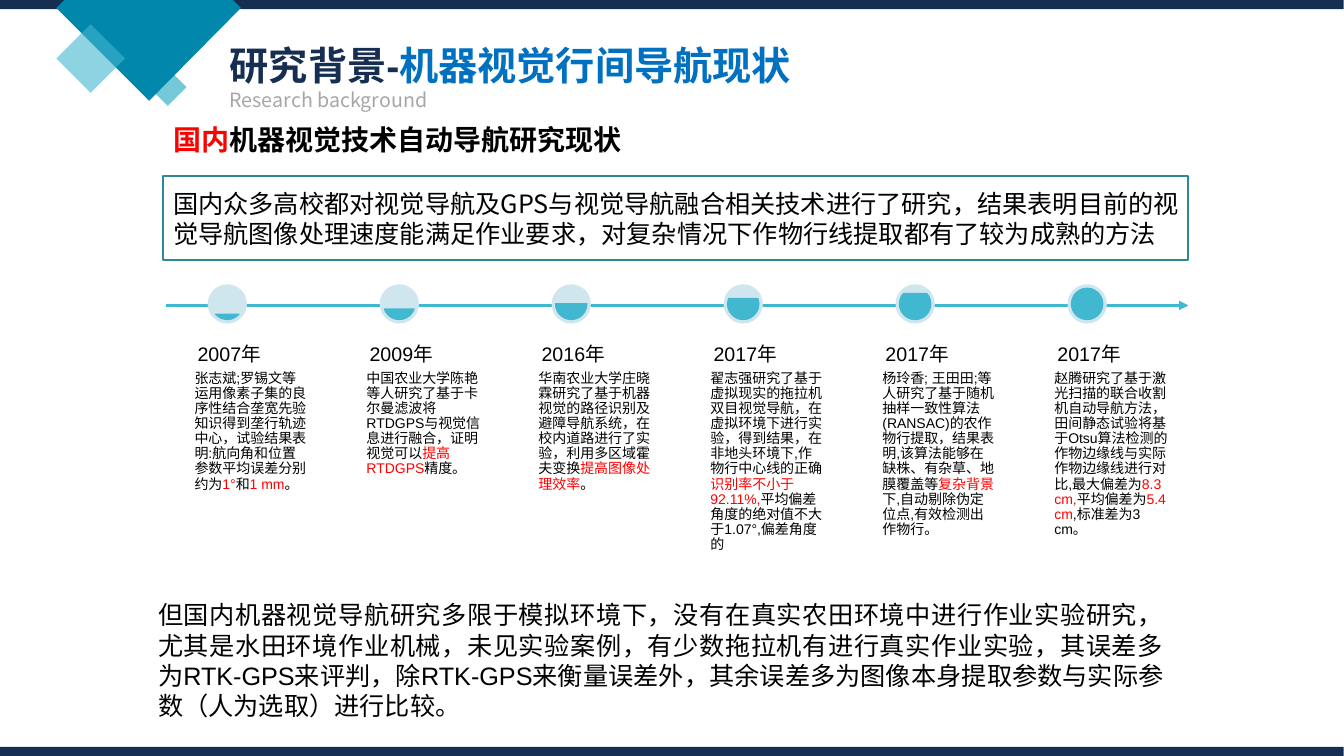
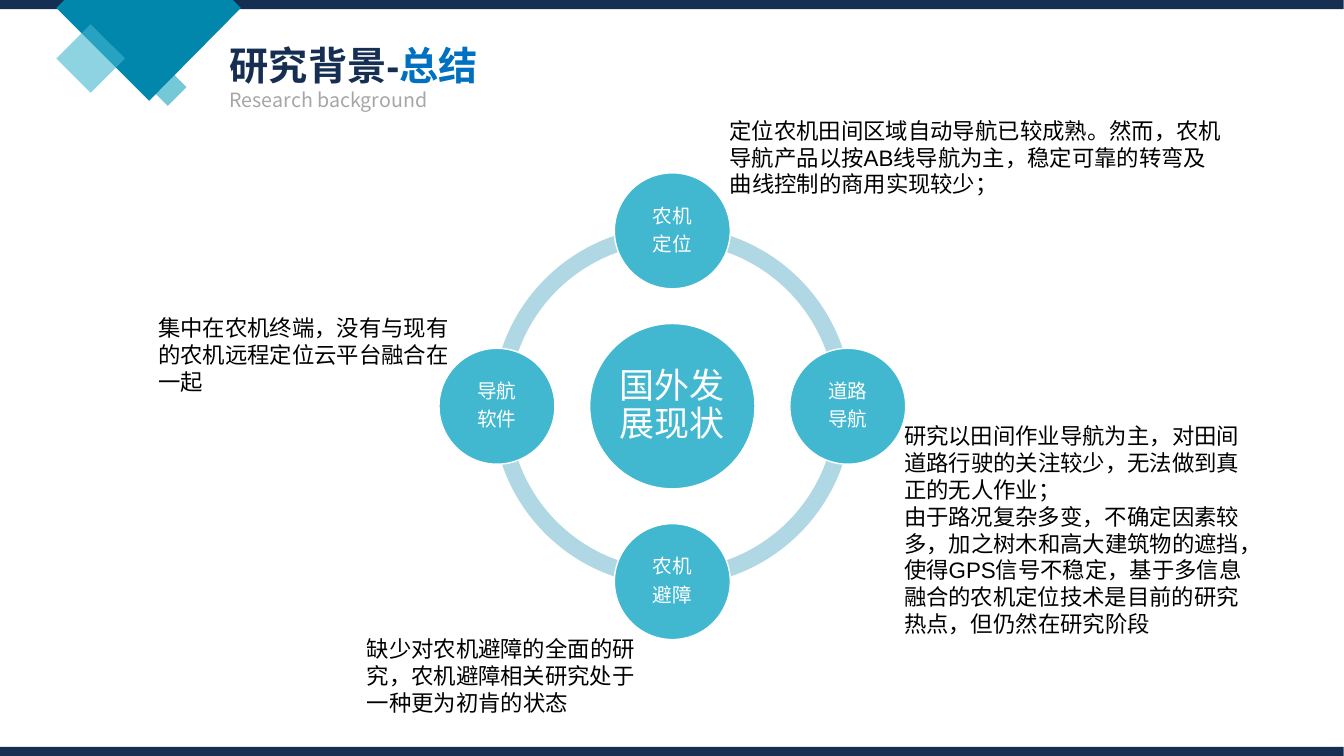
import math
from dataclasses import dataclass

import pptx
import pptx.util
from lxml import etree
from pptx.dml.color import RGBColor
from pptx.enum.shapes import MSO_CONNECTOR, MSO_SHAPE
from pptx.enum.text import MSO_ANCHOR, MSO_AUTO_SIZE, PP_ALIGN
from pptx.oxml.ns import qn
from pptx.util import Inches


@dataclass(frozen=True)
class Theme:
    latin: str = "Arial"
    asian: str = "Noto Sans CJK SC"
    navy: str = "152E52"
    blue: str = "0070C0"
    ocean: str = "0187AC"
    teal: str = "41B7D0"
    deep_teal: str = "1AA4BE"
    frame: str = "30879A"
    pale: str = "CFE6EE"
    ring: str = "B0D8E4"
    gray: str = "A6A6A6"
    black: str = "000000"
    red: str = "FF0000"
    white: str = "FFFFFF"
    title: int = 28
    hub: int = 25
    heading: int = 20
    body: int = 18
    note: int = 16
    label: int = 14
    small: int = 10


THEME = Theme()
LEFT, CENTER, JUSTIFY = PP_ALIGN.LEFT, PP_ALIGN.CENTER, PP_ALIGN.JUSTIFY
TOP, MIDDLE, BOTTOM = MSO_ANCHOR.TOP, MSO_ANCHOR.MIDDLE, MSO_ANCHOR.BOTTOM
INSETS = (0.1, 0.05, 0.1, 0.05)

MILESTONES = [
    ("2007年", "张志斌;罗锡文等运用像素子集的良序性结合垄宽先验知识得到垄行轨迹中心，"
     "试验结果表明:航向角和位置参数平均误差分别约为|1°|和|1 mm|。"),
    ("2009年", "中国农业大学陈艳等人研究了基于卡尔曼滤波将RTDGPS与视觉信息进行融合，"
     "证明视觉可以|提高RTDGPS|精度。"),
    ("2016年", "华南农业大学庄晓霖研究了基于机器视觉的路径识别及避障导航系统，"
     "在校内道路进行了实验，利用多区域霍夫变换|提高图像处理效率|。"),
    ("2017年", "翟志强研究了基于虚拟现实的拖拉机双目视觉导航，在虚拟环境下进行实验，"
     "得到结果，在非地头环境下,作物行中心线的正确|识别率不小于92.11%,|"
     "平均偏差角度的绝对值不大于1.07°,偏差角度的"),
    ("2017年", "杨玲香; 王田田;等人研究了基于随机抽样一致性算法(RANSAC)的农作物行提取，"
     "结果表明,该算法能够在缺株、有杂草、地膜覆盖等|复杂背景|"
     "下,自动剔除伪定位点,有效检测出作物行。"),
    ("2017年", "赵腾研究了基于激光扫描的联合收割机自动导航方法，"
     "田间静态试验将基于Otsu算法检测的作物边缘线与实际作物边缘线进行对比,最大偏差为|8.3 cm,|"
     "平均偏差为|5.4 cm|,标准差为3 cm。"),
]

# Clockwise from the top of the ring
TOPICS = ["农机\n定位", "道路\n导航", "农机\n避障", "导航\n软件"]

NOTES = [
    (7.14, 1.11, 5.09, 0.91,
     "定位农机田间区域自动导航已较成熟。然而，农机导航产品以按AB线导航为主，"
     "稳定可靠的转弯及曲线控制的商用实现较少；"),
    (8.87, 4.14, 3.6, 2.26,
     "研究以田间作业导航为主，对田间道路行驶的关注较少，无法做到真正的无人作业；\n"
     "由于路况复杂多变，不确定因素较多，加之树木和高大建筑物的遮挡，使得GPS信号不稳定，"
     "基于多信息融合的农机定位技术是目前的研究热点，但仍然在研究阶段"),
    (3.54, 6.25, 3.02, 0.91,
     "缺少对农机避障的全面的研究，农机避障相关研究处于一种更为初肯的状态"),
    (1.47, 3.07, 3.24, 0.91,
     "集中在农机终端，没有与现有的农机远程定位云平台融合在一起"),
]


class SlideBuilder:
    def __init__(self, theme):
        self.theme = theme
        self.deck = pptx.Presentation()
        self.deck.slide_width = Inches(13.333)
        self.deck.slide_height = Inches(7.5)
        self.layout = self.deck.slide_layouts[5]
        self.page = None

    def new_page(self, topic):
        first = self.page is None
        self.page = self.deck.slides.add_slide(self.layout)
        if first:
            self.decorate_layout()
        title = self.page.shapes.title
        title.left, title.top = Inches(2.18), Inches(0.29)
        title.width, title.height = Inches(7.88), Inches(0.6)
        self.set_text(title, f"研究背景-|{topic}", self.theme.title, color=self.theme.navy,
                      accent=self.theme.blue, bold=True, spacing=1.14)
        self.text(2.18, 0.79, 8.81, 0.35, "Research background", self.theme.label,
                  color=self.theme.gray, font=self.theme.asian, spacing=1.14)

    def decorate_layout(self):
        """Draw the shared bands and diamonds, then move them to the layout."""
        theme = self.theme
        corner = [(0.64, 0), (2.31, 0), (2.39, 0.08), (1.48, 1), (0.56, 0.08)]
        decorations = [
            self.shape(MSO_SHAPE.DIAMOND, 1.48, 0.68, 0.37, 0.37, theme.deep_teal, alpha=60),
            self.shape(MSO_SHAPE.RECTANGLE, 0, 0, 13.33, 0.09, theme.navy),
            self.outline(corner, theme.ocean),
            self.shape(MSO_SHAPE.DIAMOND, 0.56, 0.24, 0.68, 0.68, theme.teal, alpha=60),
            self.shape(MSO_SHAPE.RECTANGLE, 0, 7.41, 13.33, 0.09, theme.navy),
        ]
        for decoration in decorations:
            self.layout.shapes.element.append(decoration.element)

    def paint(self, shape, fill=None, line=None, weight=1.0, alpha=None):
        shape.shadow.inherit = False
        if fill:
            shape.fill.solid()
            shape.fill.fore_color.rgb = RGBColor.from_string(fill)
        else:
            shape.fill.background()
        if alpha:
            color = shape.element.spPr.find(qn("a:solidFill"))[0]
            etree.SubElement(color, qn("a:alpha")).set("val", str(alpha * 1000))
        if line:
            shape.line.color.rgb = RGBColor.from_string(line)
            shape.line.width = pptx.util.Pt(weight)
        else:
            shape.line.fill.background()
        return shape

    def shape(self, kind, left, top, width, height, fill=None, adjust=(), **style):
        shape = self.page.shapes.add_shape(
            kind, Inches(left), Inches(top), Inches(width), Inches(height))
        for index, value in enumerate(adjust):
            shape.adjustments[index] = value
        return self.paint(shape, fill, **style)

    def outline(self, points, fill):
        start, *others = [(Inches(x), Inches(y)) for x, y in points]
        builder = self.page.shapes.build_freeform(*start)
        builder.add_line_segments(others, close=True)
        return self.paint(builder.convert_to_shape(), fill)

    def arrow(self, x1, y1, x2, y2, color, weight):
        arrow = self.page.shapes.add_connector(
            MSO_CONNECTOR.STRAIGHT, Inches(x1), Inches(y1), Inches(x2), Inches(y2))
        arrow.line.color.rgb = RGBColor.from_string(color)
        arrow.line.width = pptx.util.Pt(weight)
        properties = arrow.element.spPr
        etree.SubElement(properties.find(qn("a:ln")), qn("a:tailEnd")).set("type", "triangle")
        etree.SubElement(properties, qn("a:effectLst"))

    def text(self, left, top, width, height, content, size, **style):
        box = self.page.shapes.add_textbox(
            Inches(left), Inches(top), Inches(width), Inches(height))
        self.set_text(box, content, size, **style)

    def set_text(self, shape, content, size, color=None, accent=None, font=None, bold=False,
                 align=LEFT, anchor=TOP, insets=INSETS, spacing=1.0, after=0):
        """Fill a shape: newlines part paragraphs, every second "|" part is accented."""
        frame = shape.text_frame
        frame.word_wrap = True
        frame.auto_size = MSO_AUTO_SIZE.NONE
        frame.vertical_anchor = anchor
        (frame.margin_left, frame.margin_top,
         frame.margin_right, frame.margin_bottom) = map(Inches, insets)
        for number, line in enumerate(content.split("\n")):
            para = frame.add_paragraph() if number else frame.paragraphs[0]
            para.alignment = align
            para.line_spacing = spacing
            para.space_after = pptx.util.Pt(after)
            para.font.size = pptx.util.Pt(size)
            para.font.bold = bold
            para.font.color.rgb = RGBColor.from_string(color or self.theme.black)
            para.font.name = font or self.theme.latin
            defaults = para._p.pPr.find(qn("a:defRPr"))
            etree.SubElement(defaults, qn("a:ea")).set("typeface", self.theme.asian)
            for index, part in enumerate(line.split("|")):
                if part:
                    span = para.add_run()
                    span.text = part
                    if index % 2:
                        span.font.color.rgb = RGBColor.from_string(accent or self.theme.red)

    def gauge(self, left, top, share):
        """Draw a dot filled from the bottom up to the given share of its height."""
        self.shape(MSO_SHAPE.OVAL, left, top, 0.39, 0.39, self.theme.pale)
        level = math.degrees(math.asin(1 - 2 * share))
        angles = [angle % 360 * 0.6 for angle in (level, 180 - level)]
        self.shape(MSO_SHAPE.CHORD, left + 0.04, top + 0.04, 0.31, 0.31, self.theme.teal,
                   adjust=angles, line=self.theme.teal)

    def disc(self, center_x, center_y, diameter, label, size):
        disc = self.shape(MSO_SHAPE.OVAL, center_x - diameter / 2, center_y - diameter / 2,
                          diameter, diameter, self.theme.teal, line=self.theme.white)
        self.set_text(disc, label, size, color=self.theme.white, align=CENTER, anchor=MIDDLE,
                      insets=(0.02,) * 4, spacing=0.9, after=5)


def add_timeline_page(builder):
    theme = builder.theme
    builder.new_page("机器视觉行间导航现状")
    builder.text(1.62, 1.17, 6, 0.44, "|国内|机器视觉技术自动导航研究现状", theme.heading,
                 font=theme.asian, bold=True)
    summary = builder.shape(MSO_SHAPE.RECTANGLE, 1.62, 1.75, 10.17, 0.83,
                            line=theme.frame, weight=1.5)
    builder.set_text(summary, "国内众多高校都对视觉导航及GPS与视觉导航融合相关技术进行了研究，"
                     "结果表明目前的视觉导航图像处理速度能满足作业要求，"
                     "对复杂情况下作物行线提取都有了较为成熟的方法",
                     theme.body, font=theme.asian, anchor=MIDDLE, insets=(0.1, 0.05, 0, 0.05))

    builder.arrow(1.65, 3.03, 11.79, 3.03, theme.teal, 2.25)
    count = len(MILESTONES)
    pitch = (10.59 - 2.06) / (count - 1)
    for index, (year, finding) in enumerate(MILESTONES):
        left = 2.06 + index * pitch
        builder.gauge(left, 2.82, (index + 1) / count)
        builder.text(left - 0.14, 3.67, 1.15, 1.64, finding, theme.small,
                     insets=(0.01,) * 4, spacing=0.9)
        builder.text(left - 0.14, 3.28, 1.15, 0.39, year, theme.label, anchor=BOTTOM,
                     insets=(0.04,) * 4, spacing=0.9)

    builder.text(1.47, 5.9, 10.17, 1.31,
                 "但国内机器视觉导航研究多限于模拟环境下，没有在真实农田环境中进行作业实验研究，"
                 "尤其是水田环境作业机械，未见实验案例，有少数拖拉机有进行真实作业实验，"
                 "其误差多为RTK-GPS来评判，除RTK-GPS来衡量误差外，"
                 "其余误差多为图像本身提取参数与实际参数（人为选取）进行比较。",
                 theme.body, align=JUSTIFY)


def add_summary_page(builder):
    theme = builder.theme
    builder.new_page("总结")
    center_x, center_y, radius, ring = 6.67, 4.03, 1.74, 3.57
    for start in range(0, 360, 90):
        builder.shape(MSO_SHAPE.BLOCK_ARC, center_x - ring / 2, center_y - ring / 2, ring, ring,
                      theme.ring, adjust=(start * 0.6, (start + 90) % 360 * 0.6, 0.046))
    builder.disc(center_x, center_y, 1.64, "国外发展现状", theme.hub)
    for index, topic in enumerate(TOPICS):
        angle = math.radians(index * 90 - 90)
        builder.disc(center_x + radius * math.cos(angle), center_y + radius * math.sin(angle),
                     1.15, topic, theme.label)
    for left, top, width, height, note in NOTES:
        builder.text(left, top, width, height, note, theme.note)


def main():
    builder = SlideBuilder(THEME)
    add_timeline_page(builder)
    add_summary_page(builder)
    builder.deck.save("out.pptx")


if __name__ == "__main__":
    main()
